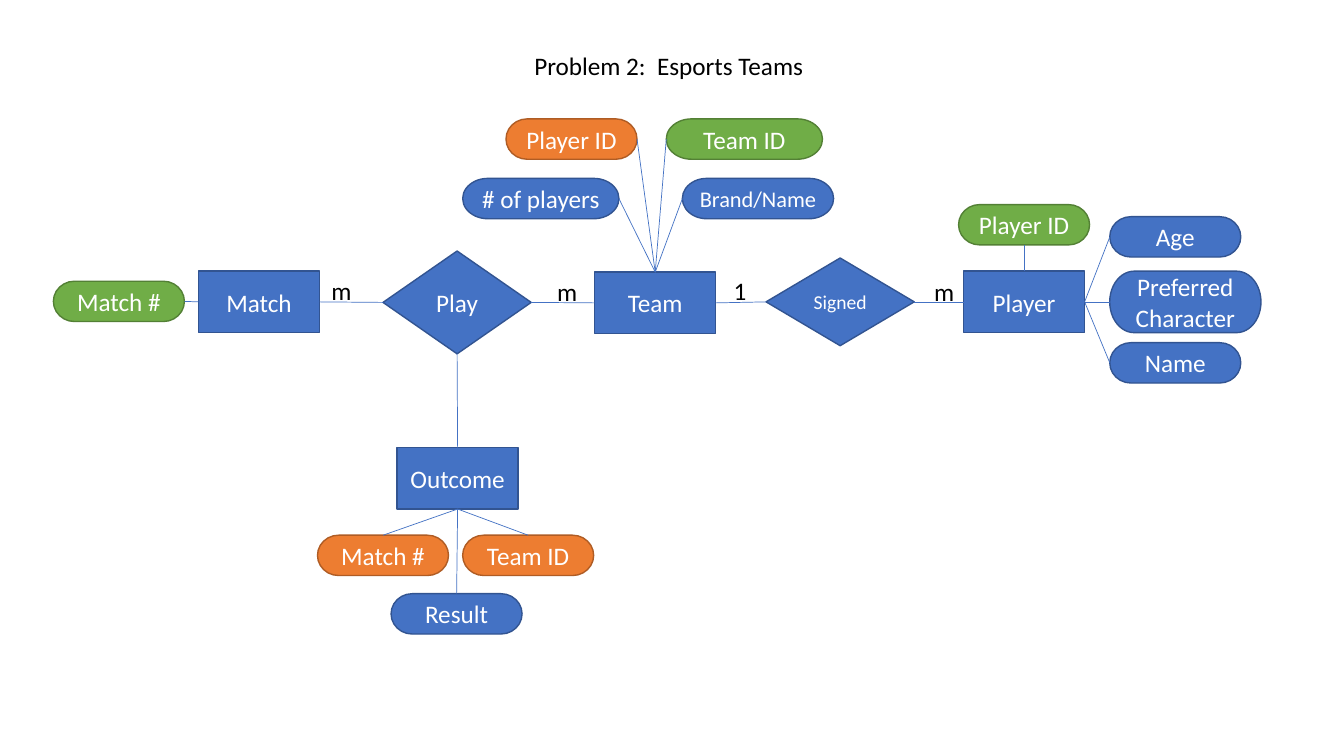
from dataclasses import dataclass

from lxml.etree import SubElement
from pptx import Presentation
from pptx.dml.color import RGBColor
from pptx.enum.shapes import MSO_CONNECTOR as Connector, MSO_SHAPE as Preset
from pptx.enum.text import MSO_ANCHOR as Anchor, MSO_AUTO_SIZE as AutoSize, PP_ALIGN as Align
from pptx.oxml.ns import qn
from pptx.util import Inches, Pt

CELL = Inches(0.1)
COLUMNS, ROWS = 133.33, 75
TOP, LEFT, BOTTOM, RIGHT = range(4)
ENTITY_SIZE = (12, 6.1)
PILL_WIDTH, PILL_HEIGHT = 13, 4


@dataclass(frozen=True)
class Theme:
    """Colours and type sizes of the diagram."""
    font: str = "Calibri"
    ink: str = "000000"
    light: str = "FFFFFF"
    link: str = "4472C4"
    plain: tuple = ("4472C4", "325491")
    primary: tuple = ("70AD47", "538035")
    foreign: tuple = ("ED7D31", "AF5C24")
    body: int = 18
    compact: int = 16
    small: int = 14
    outline: float = 1
    link_width: float = 0.5


THEME = Theme()


@dataclass(frozen=True)
class Attribute:
    """An attribute placed in cells from its entity's top left corner."""
    label: str
    dx: float
    dy: float
    entity_side: int
    own_side: int
    colours: tuple = THEME.plain
    width: float = PILL_WIDTH
    height: float = PILL_HEIGHT
    size: int = THEME.body


ENTITIES = {
    "Match": ((19.7, 26.9), [
        Attribute("Match #", -14.4, 1, LEFT, RIGHT, THEME.primary),
    ]),
    "Team": ((59, 27), [
        Attribute("Player ID", -8.8, -15.2, TOP, RIGHT, THEME.foreign),
        Attribute("Team ID", 7.1, -15.2, TOP, LEFT, THEME.primary, 15.5),
        Attribute("# of players", -13.1, -9.3, TOP, RIGHT, width=15.5),
        Attribute("Brand/Name", 8.7, -9.3, TOP, LEFT, width=15, size=THEME.compact),
    ]),
    "Player": ((95.6, 26.9), [
        Attribute("Player ID", -0.5, -6.6, TOP, BOTTOM, THEME.primary),
        Attribute("Age", 14.5, -5.4, RIGHT, LEFT),
        Attribute("Preferred Character", 14.5, 0, RIGHT, LEFT, width=15, height=6.1),
        Attribute("Name", 14.5, 7.1, RIGHT, LEFT),
    ]),
    "Outcome": ((39.4, 44.4), [
        Attribute("Match #", -7.9, 8.7, BOTTOM, TOP, THEME.foreign),
        Attribute("Team ID", 6.5, 8.7, BOTTOM, TOP, THEME.foreign),
        Attribute("Result", -0.6, 14.5, BOTTOM, TOP),
    ]),
}

RELATIONSHIPS = [
    ("Play", (38, 24.9, 14.7, 10.2), THEME.body, [
        ("Match", RIGHT, LEFT, "m", (-6.1, 1.9)),
        ("Team", LEFT, RIGHT, "m", (16.3, 2)),
        ("Outcome", TOP, BOTTOM, None, None),
    ]),
    ("Signed", (76, 25.6, 14.7, 8.7), THEME.small, [
        ("Team", RIGHT, LEFT, "1", (-4.2, 1.2)),
        ("Player", LEFT, RIGHT, "m", (15.7, 1.3)),
    ]),
]


def cells(*lengths):
    """Turn grid cells into slide lengths."""
    return [round(length * CELL) for length in lengths]


def write(frame, text, colour, size, align, anchor):
    """Write one formatted run into a text frame."""
    frame.word_wrap = True
    frame.auto_size = AutoSize.NONE
    frame.vertical_anchor = anchor
    paragraph = frame.paragraphs[0]
    paragraph.alignment = align
    run = paragraph.add_run()
    run.text = text
    run.font.name = THEME.font
    run.font.size = Pt(size)
    run.font.color.rgb = RGBColor.from_string(colour)


def add_node(slide, preset, box, label, colours=THEME.plain, size=THEME.body):
    """Add a filled, labelled node in the box."""
    node = slide.shapes.add_shape(preset, *cells(*box))
    fill, outline = colours
    node.shadow.inherit = False
    node.fill.solid()
    node.fill.fore_color.rgb = RGBColor.from_string(fill)
    node.line.color.rgb = RGBColor.from_string(outline)
    node.line.width = Pt(THEME.outline)
    write(node.text_frame, label, THEME.light, size, Align.CENTER, Anchor.MIDDLE)
    return node


def link(slide, start, start_side, end, end_side):
    """Join the sides of two nodes with a thin line."""
    line = slide.shapes.add_connector(Connector.STRAIGHT, 0, 0, 0, 0)
    line.begin_connect(start, start_side)
    line.end_connect(end, end_side)
    line.line.color.rgb = RGBColor.from_string(THEME.link)
    line.line.width = Pt(THEME.link_width)
    SubElement(line._element.spPr, qn("a:effectLst"))


def draw_title(slide, box, text):
    """Place the slide title in the box."""
    title = slide.shapes.title
    title.left, title.top, title.width, title.height = cells(*box)
    write(title.text_frame, text, THEME.ink, THEME.body, Align.LEFT, Anchor.TOP)


def draw_entity(slide, box, label, attributes):
    """Draw an entity in the box with its attributes around it."""
    left, top, _, _ = box
    entity = add_node(slide, Preset.RECTANGLE, box, label)
    for item in attributes:
        pill_box = (left + item.dx, top + item.dy, item.width, item.height)
        pill = add_node(slide, Preset.FLOWCHART_TERMINATOR, pill_box,
                        item.label, item.colours, item.size)
        link(slide, entity, item.entity_side, pill, item.own_side)
    return entity


def draw_relationship(slide, box, label, size, ends, entities):
    """Draw a relationship in the box, linked to its entities."""
    left, top, _, _ = box
    diamond = add_node(slide, Preset.FLOWCHART_DECISION, box, label, size=size)
    for name, entity_side, own_side, cardinality, offset in ends:
        link(slide, diamond, own_side, entities[name], entity_side)
        if cardinality:
            dx, dy = offset
            mark = slide.shapes.add_textbox(*cells(left + dx, top + dy, 4, 4))
            write(mark.text_frame, cardinality, THEME.ink, THEME.body,
                  Align.LEFT, Anchor.TOP)


def main():
    """Build and save the entity relationship slide."""
    deck = Presentation()
    deck.slide_width, deck.slide_height = cells(COLUMNS, ROWS)
    slide = deck.slides.add_slide(deck.slide_layouts[5])
    draw_title(slide, (52, 4.5, 29.3, 4), "Problem 2:  Esports Teams")
    entities = {
        name: draw_entity(slide, corner + ENTITY_SIZE, name, attributes)
        for name, (corner, attributes) in ENTITIES.items()
    }
    for label, box, size, ends in RELATIONSHIPS:
        draw_relationship(slide, box, label, size, ends, entities)
    deck.save("out.pptx")


if __name__ == "__main__":
    main()
